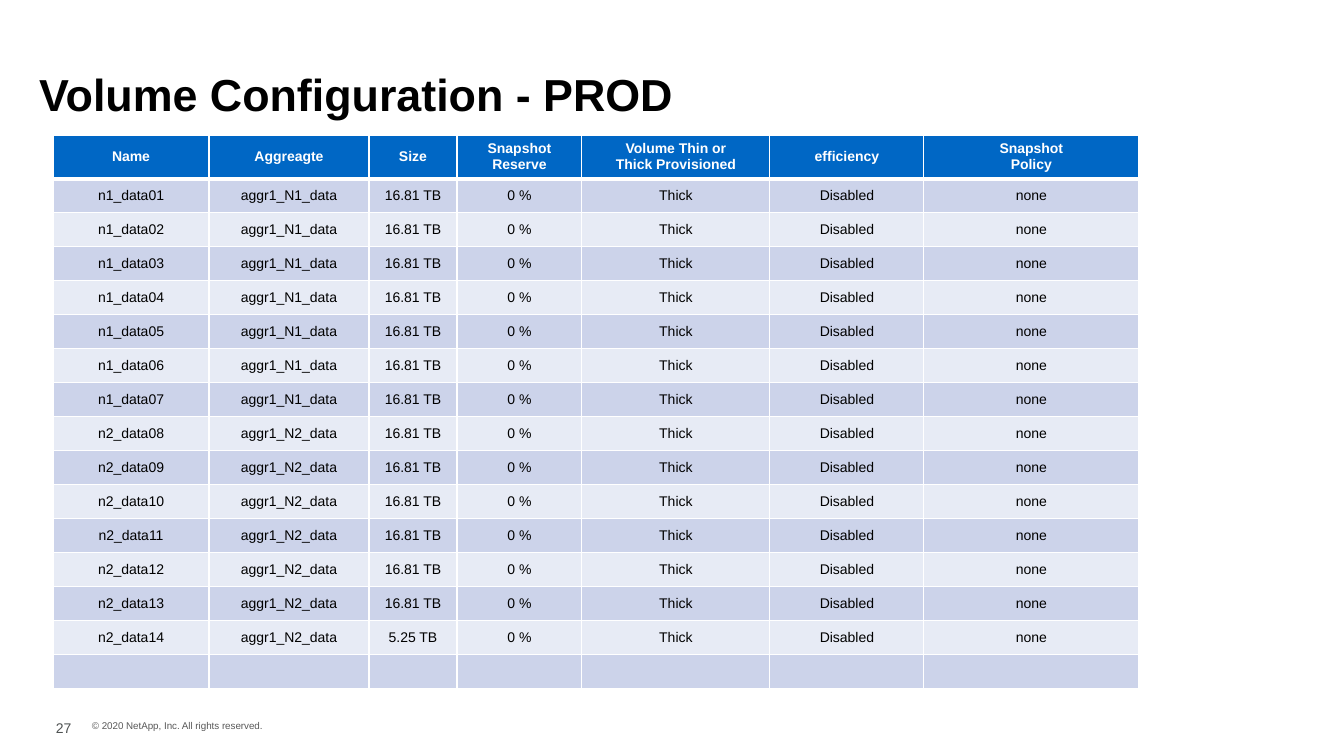
"""Build the PROD volume configuration slide."""
from lxml import etree
from pptx import Presentation, util as u
from pptx.dml.color import RGBColor
from pptx.enum import text
from pptx.oxml import ns

THEME = {
    "font": "Arial",
    "title": {"size": 32, "color": "000000", "bold": True},
    "header": {"size": 10, "color": "FFFFFF", "bold": True},
    "body": {"size": 10, "color": "000000", "bold": False},
    "number": {"size": 10, "color": "4E5252", "bold": False},
    "copyright": {"size": 7, "color": "595959", "bold": False},
    "header_fill": "0067C5",
    "bands": ("CCD3EA", "E7EBF5"),
    "border": "FFFFFF",
}
PX = 914400 / 100.8


def px(length):
    return u.Emu(round(length * PX))


def write(frame, words, role, align):
    style = THEME[role]
    frame.text = words
    for paragraph in frame.paragraphs:
        paragraph.alignment = align
        for run in paragraph.runs:
            for name, value in {"name": THEME["font"], "size": u.Pt(style["size"]),
                                "bold": style["bold"]}.items():
                setattr(run.font, name, value)
            run.font.color.rgb = RGBColor.from_string(style["color"])


deck = Presentation()
deck.slide_width, deck.slide_height = px(1344), px(756)
slide = deck.slides.add_slide(deck.slide_layouts[5])

title = slide.shapes.title
for name, value in {"left": 29, "top": 25, "width": 1285, "height": 101}.items():
    setattr(title, name, px(value))
write(title.text_frame, "Volume Configuration - PROD", "title", text.PP_ALIGN.LEFT)
title.text_frame.vertical_anchor = text.MSO_ANCHOR.BOTTOM
title.text_frame.paragraphs[0].line_spacing = 1.4

footers = [
    ("© 2020 NetApp, Inc. All rights reserved.", "copyright", (82, 715, 198, 22), False),
    ("27", "number", (46, 713, 49, 29), True),
]
for words, role, place, wraps in footers:
    footer = slide.shapes.add_textbox(*map(px, place)).text_frame
    footer.word_wrap = wraps
    footer.vertical_anchor = text.MSO_ANCHOR.MIDDLE
    write(footer, words, role, text.PP_ALIGN.LEFT)

headings = ["Name", "Aggreagte", "Size", "Snapshot\nReserve",
            "Volume Thin or\nThick Provisioned", "efficiency", "Snapshot\nPolicy"]
column_widths = [156, 160, 88, 125, 188, 154, 215]
header_height, row_height = 42, 34
volumes = []
for index in range(1, 15):
    node = 1 if index <= 7 else 2
    size = "5.25 TB" if index == 14 else "16.81 TB"
    volumes.append([f"n{node}_data{index:02}", f"aggr1_N{node}_data", size,
                    "0 %", "Thick", "Disabled", "none"])
rows = [headings, *volumes, [""] * len(headings)]

table = slide.shapes.add_table(
    len(rows), len(headings), px(53), px(135), px(sum(column_widths)),
    px(header_height + row_height * (len(rows) - 1))).table
for column, width in zip(table.columns, column_widths):
    column.width = px(width)

for row_index, values in enumerate(rows):
    is_header = row_index == 0
    table.rows[row_index].height = px(header_height if is_header else row_height)
    role = "header" if is_header else "body"
    fill = THEME["header_fill"] if is_header else THEME["bands"][(row_index - 1) % 2]
    widths = {"lnL": 1, "lnR": 1, "lnT": 3 if row_index == 1 else 1,
              "lnB": 3 if is_header else 1}
    for column_index, words in enumerate(values):
        cell = table.cell(row_index, column_index)
        cell.vertical_anchor = text.MSO_ANCHOR.MIDDLE
        write(cell.text_frame, words, role, text.PP_ALIGN.CENTER)
        if not words:
            etree.SubElement(cell.text_frame.paragraphs[0]._p, ns.qn("a:endParaRPr"),
                             sz=str(THEME[role]["size"] * 100))
        properties = cell._tc.get_or_add_tcPr()
        for edge, points in widths.items():
            line = etree.SubElement(properties, ns.qn(f"a:{edge}"), w=str(u.Pt(points)))
            solid = etree.SubElement(line, ns.qn("a:solidFill"))
            etree.SubElement(solid, ns.qn("a:srgbClr"), val=THEME["border"])
        cell.fill.solid()
        cell.fill.fore_color.rgb = RGBColor.from_string(fill)

deck.save("out.pptx")
